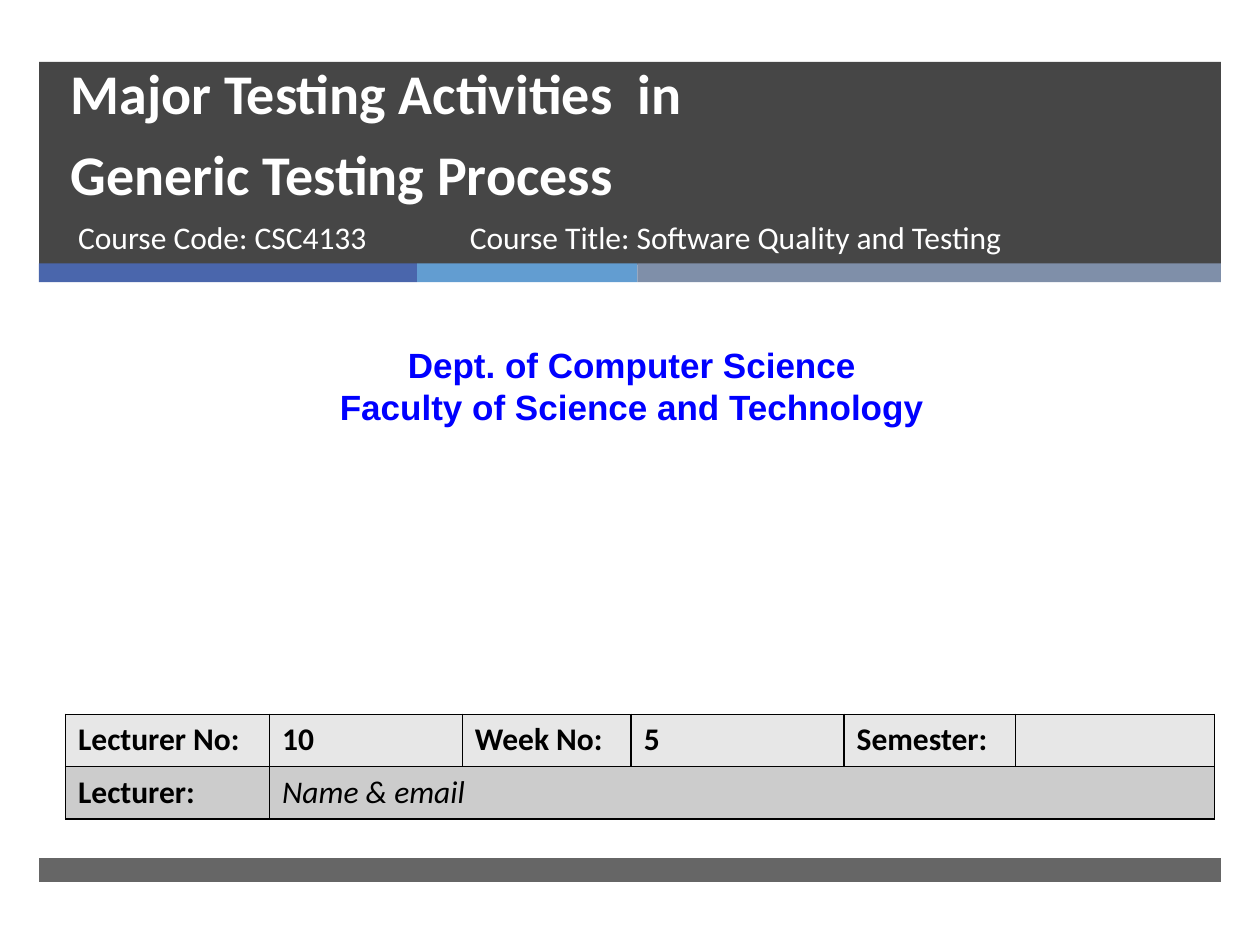
from dataclasses import dataclass

from lxml.etree import SubElement
from pptx import Presentation
from pptx.dml.color import RGBColor
from pptx.enum.shapes import MSO_SHAPE
from pptx.enum.text import MSO_ANCHOR, MSO_AUTO_SIZE, PP_ALIGN
from pptx.oxml.ns import qn
from pptx.util import Inches, Pt

COLORS = {
    "dark": "262626", "blue": "4A66AC", "sky": "629DD1", "slate": "7F8FA9",
    "white": "FFFFFF", "black": "000000", "link": "0000FF",
    "row_light": "E7E7E7", "row_dark": "CCCCCC",
}
TITLE = {"name": "Calibri", "size": Pt(32), "bold": True}
COURSE = {"name": "Calibri", "size": Pt(18), "bold": False}
DEPARTMENT = {"name": "Arial", "size": Pt(20), "bold": True}
LABEL = {"name": "Calibri", "size": Pt(18), "bold": True}
NAME = {"name": "Calibri", "size": Pt(18), "bold": False, "italic": True}


@dataclass
class Bar:
    left: float
    top: float
    width: float
    height: float
    color: str
    opacity: int = 100


BARS = [
    Bar(0.31, 0.49, 9.38, 1.61, "dark", 85),
    Bar(0.31, 2.09, 3, 0.15, "blue"),
    Bar(3.31, 2.09, 1.75, 0.15, "sky"),
    Bar(5.06, 2.09, 4.63, 0.15, "slate"),
    Bar(0.31, 6.81, 9.38, 0.19, "dark", 70),
]


def rgb(color: str) -> RGBColor:
    return RGBColor.from_string(COLORS[color])


def draw_bar(page, bar: Bar) -> None:
    shape = page.shapes.add_shape(
        MSO_SHAPE.RECTANGLE, Inches(bar.left), Inches(bar.top),
        Inches(bar.width), Inches(bar.height))
    shape.shadow.inherit = False
    shape.line.fill.background()
    shape.fill.solid()
    shape.fill.fore_color.rgb = rgb(bar.color)
    if bar.opacity < 100:
        tint = shape.fill._xPr.find(qn("a:solidFill"))[0]
        SubElement(tint, qn("a:alpha"), val=str(bar.opacity * 1000))


def write(frame, lines: list[str], style: dict, color: str,
          align=PP_ALIGN.LEFT, anchor=MSO_ANCHOR.TOP) -> None:
    frame.word_wrap = True
    frame.auto_size = MSO_AUTO_SIZE.NONE
    frame.vertical_anchor = anchor
    frame.text = "\n".join(lines)
    for para in frame.paragraphs:
        para.alignment = align
        para.space_before = Pt(0)
        for span in para.runs:
            for key, value in style.items():
                setattr(span.font, key, value)
            span.font.color.rgb = rgb(color)


def place(shape, left: float, top: float, width: float, height: float) -> None:
    shape.left, shape.top = Inches(left), Inches(top)
    shape.width, shape.height = Inches(width), Inches(height)


def add_box(page, left: float, top: float, width: float, height: float):
    return page.shapes.add_textbox(
        Inches(left), Inches(top), Inches(width), Inches(height)).text_frame


def format_cell(cell, fill: str) -> None:
    cell.fill.solid()
    cell.fill.fore_color.rgb = rgb(fill)
    properties = cell._tc.get_or_add_tcPr()
    for index, side in enumerate(("lnL", "lnR", "lnT", "lnB")):
        line = properties.makeelement(qn(f"a:{side}"), {"w": str(Pt(1))})
        solid = SubElement(line, qn("a:solidFill"))
        SubElement(solid, qn("a:srgbClr"), val=COLORS["black"])
        properties.insert(index, line)


def draw_lecture_table(page) -> None:
    widths = [1.62, 1.53, 1.34, 1.69, 1.36, 1.58]
    rows = [
        ("row_light", ["Lecturer No:", "10", "Week No:", "5", "Semester:", ""]),
        ("row_dark", ["Lecturer:", "Name & email", "", "", "", ""]),
    ]
    table = page.shapes.add_table(
        len(rows), len(widths), Inches(0.52), Inches(5.67),
        Inches(sum(widths)), Inches(0.83)).table
    for column, width in zip(table.columns, widths):
        column.width = Inches(width)
    for row, (fill, texts) in enumerate(rows):
        for column, text in enumerate(texts):
            cell = table.cell(row, column)
            format_cell(cell, fill)
            if text:
                cell.text = text
                style = NAME if (row, column) == (1, 1) else LABEL
                font = cell.text_frame.paragraphs[0].runs[0].font
                for key, value in style.items():
                    setattr(font, key, value)
                font.color.rgb = rgb("black")
    table.cell(1, 1).merge(table.cell(1, 5))


def main() -> None:
    deck = Presentation()
    deck.slide_width, deck.slide_height = Inches(10), Inches(7.5)
    page = deck.slides.add_slide(deck.slide_layouts[0])
    title, subtitle = page.placeholders

    # Header and footer bars, kept behind the placeholders
    for bar in BARS:
        draw_bar(page, bar)
    for placeholder in (title, subtitle):
        page.shapes._spTree.append(placeholder._element)

    # Title and course details
    place(title, 0.46, 0.59, 8.54, 1.1)
    write(title.text_frame,
          ["Major Testing Activities  in\vGeneric Testing Process"],
          TITLE, "white", anchor=MSO_ANCHOR.BOTTOM)
    title.text_frame.paragraphs[0].line_spacing = Pt(46)
    place(subtitle, 0.52, 1.68, 3.05, 0.53)
    write(subtitle.text_frame, ["Course Code: CSC4133"], COURSE, "white")
    write(add_box(page, 3.63, 1.68, 4.55, 0.53),
          ["Course Title: Software Quality and Testing"], COURSE, "white")

    # Department
    write(add_box(page, 0.08, 2.68, 9.87, 0.77),
          ["Dept. of Computer Science", "Faculty of Science and Technology"],
          DEPARTMENT, "link", PP_ALIGN.CENTER)

    # Lecture details
    draw_lecture_table(page)
    deck.save("out.pptx")


if __name__ == "__main__":
    main()
